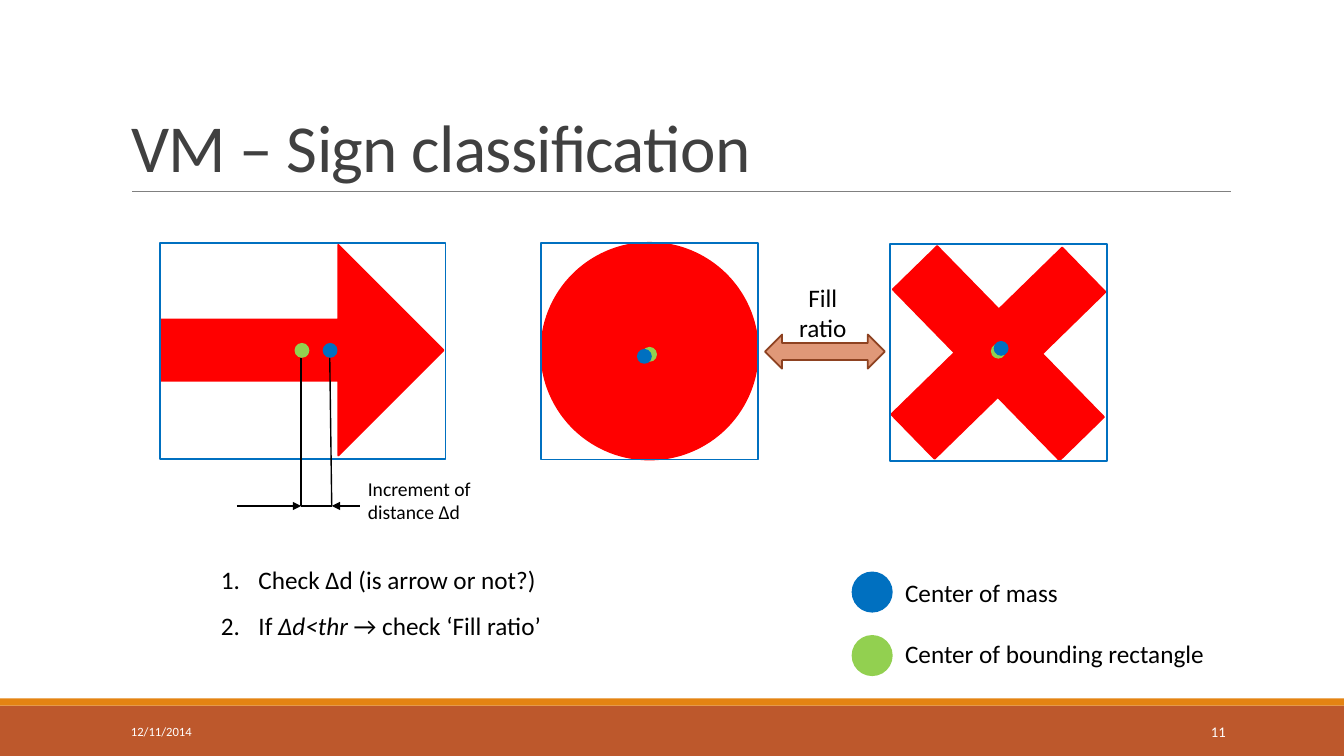
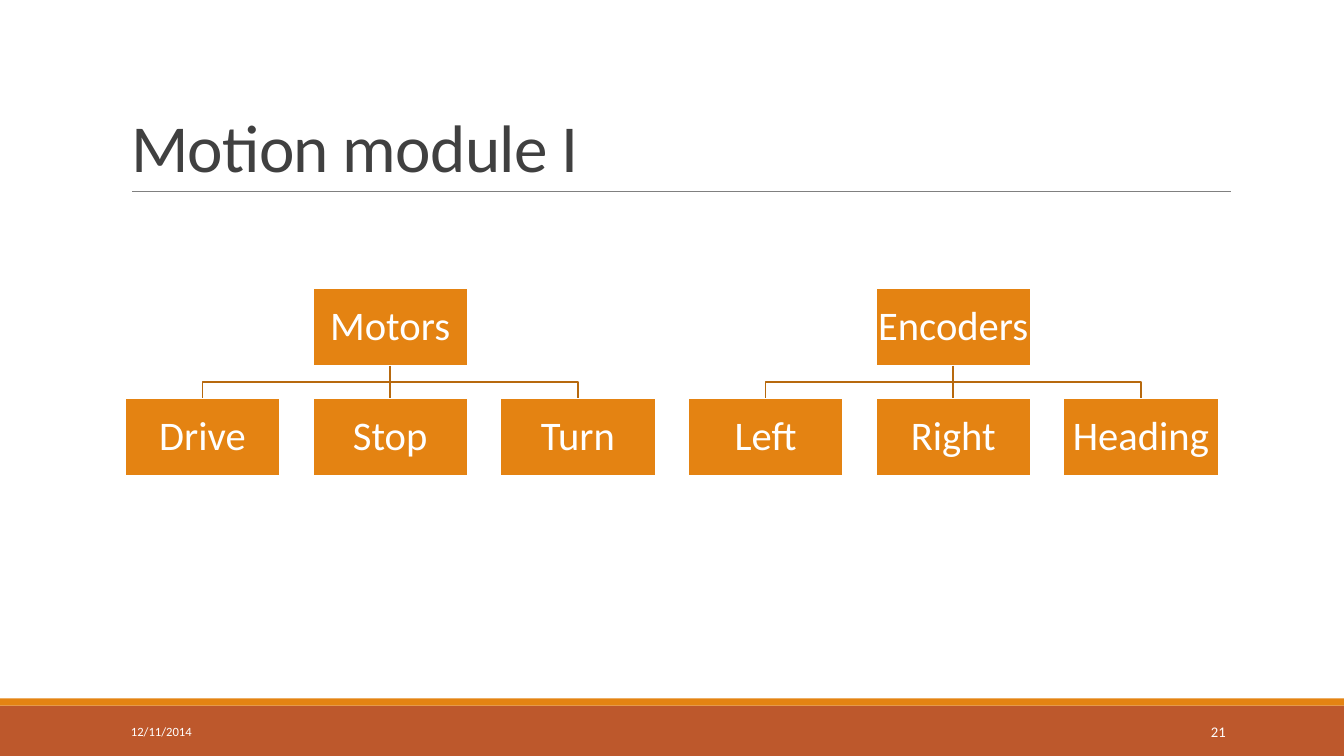
from lxml.etree import SubElement
from pptx import Presentation
from pptx.dml.color import RGBColor
from pptx.enum.shapes import MSO_CONNECTOR, MSO_SHAPE
from pptx.enum.text import MSO_ANCHOR, MSO_AUTO_SIZE, PP_ALIGN
from pptx.oxml.ns import qn
from pptx.util import Cm, Pt

RUST, ORANGE, BROWN = "BD582C", "E48312", "B7690E"
RED, BLUE, GREEN = "FF0000", "0070C0", "92D050"
BLACK, WHITE, DARK, GREY = "000000", "FFFFFF", "404040", "808080"
FACE = "Calibri"
WIDE, HIGH = 33.87, 19.05


def ink(color, value):
    color.rgb = RGBColor.from_string(value)


class Deck:
    def __init__(self):
        self.file = Presentation()
        self.file.slide_width, self.file.slide_height = Cm(WIDE), Cm(HIGH)
        self.slide = None

    # Slide frame: bands, rule, title and footer
    def start(self, title, number, layout):
        self.slide = self.file.slides.add_slide(self.file.slide_layouts[layout])
        self.shape(MSO_SHAPE.RECTANGLE, 0, 17.78, WIDE, 1.27, RUST)
        self.shape(MSO_SHAPE.RECTANGLE, 0, 17.6, WIDE, 0.18, ORANGE)
        self.line(3.33, 4.83, 31.01, 4.83, GREY, 0.5)
        head = self.slide.shapes.title
        self.place(head, 3.05, 0.79, 27.94, 4.04)
        frame = head.text_frame
        frame.text = title
        frame.auto_size = MSO_AUTO_SIZE.NONE
        frame.vertical_anchor = MSO_ANCHOR.BOTTOM
        self.style(frame, 48, DARK, PP_ALIGN.LEFT)
        frame.paragraphs[0].line_spacing = 0.85
        frame.paragraphs[0].runs[0].font._element.set("spc", "-50")
        self.text("12/11/2014", 3.05, 17.93, 6.86, 1.02, 9, WHITE,
                  anchor=MSO_ANCHOR.MIDDLE)
        self.text(number, 27.51, 17.93, 3.63, 1.02, 10.5, WHITE,
                  PP_ALIGN.RIGHT, MSO_ANCHOR.MIDDLE)

    def place(self, item, x, y, w, h):
        item.left, item.top, item.width, item.height = Cm(x), Cm(y), Cm(w), Cm(h)

    def style(self, frame, size, color, align=PP_ALIGN.LEFT):
        for para in frame.paragraphs:
            para.alignment = align
            for run in para.runs:
                run.font.name, run.font.size = FACE, Pt(size)
                ink(run.font.color, color)

    def paint(self, item, fill=None, edge=None, width=1.25):
        item.shadow.inherit = False
        if fill:
            item.fill.solid()
            ink(item.fill.fore_color, fill)
        else:
            item.fill.background()
        if edge:
            ink(item.line.color, edge)
            item.line.width = Pt(width)
        else:
            item.line.fill.background()

    def shape(self, kind, x, y, w, h, fill=None, edge=None):
        item = self.slide.shapes.add_shape(kind, Cm(x), Cm(y), Cm(w), Cm(h))
        self.paint(item, fill, edge)
        return item

    def dot(self, x, y, color, size=0.33):
        self.shape(MSO_SHAPE.OVAL, x - size / 2, y - size / 2, size, size,
                   color, color)

    def line(self, x1, y1, x2, y2, color=BLACK, width=1, arrow=False):
        item = self.slide.shapes.add_connector(
            MSO_CONNECTOR.STRAIGHT, Cm(x1), Cm(y1), Cm(x2), Cm(y2))
        ink(item.line.color, color)
        item.line.width = Pt(width)
        if arrow:
            SubElement(item.line._get_or_add_ln(), qn("a:tailEnd"), type="triangle")
        SubElement(item._element.spPr, qn("a:effectLst"))
        return item

    def elbow(self, x1, y1, x2, y2):
        mid = (y1 + y2) / 2
        points = [(x1, mid), (x2, mid), (x2, y2)]
        build = self.slide.shapes.build_freeform(Cm(x1), Cm(y1))
        build.add_line_segments([(Cm(x), Cm(y)) for x, y in points], close=False)
        self.paint(build.convert_to_shape(), edge=BROWN)

    def text(self, words, x, y, w, h, size, color=BLACK,
             align=PP_ALIGN.LEFT, anchor=MSO_ANCHOR.TOP, gap=0):
        item = self.slide.shapes.add_textbox(Cm(x), Cm(y), Cm(w), Cm(h))
        frame = item.text_frame
        frame.word_wrap = True
        frame.vertical_anchor = anchor
        frame.text = words
        self.style(frame, size, color, align)
        for para in frame.paragraphs[1:]:
            para.space_before = Pt(gap)

    # Numbered list in the body placeholder; every second part is italic
    def steps(self, items, x, y, w, h):
        body = self.slide.placeholders[1]
        self.place(body, x, y, w, h)
        frame = body.text_frame
        frame.auto_size = MSO_AUTO_SIZE.NONE
        for i, parts in enumerate(items):
            para = frame.add_paragraph() if i else frame.paragraphs[0]
            props = para._p.get_or_add_pPr()
            props.set("marL", str(Cm(0.95)))
            props.set("indent", str(Cm(-0.95)))
            SubElement(props, qn("a:buFont"), typeface=FACE)
            SubElement(props, qn("a:buAutoNum"), type="arabicPeriod")
            para.line_spacing, para.space_before = 1.5, Pt(0)
            for j, part in enumerate(parts):
                run = para.add_run()
                run.text = part
                run.font.italic = j % 2 == 1
        self.style(frame, 18, BLACK)

    # Sign with its bounding rectangle and both centres
    def sign(self, kind, area, box, mid, mass, turn=0, adjust=()):
        item = self.shape(kind, *area, RED, RED)
        item.rotation = turn
        for i, value in enumerate(adjust):
            item.adjustments[i] = value
        self.shape(MSO_SHAPE.RECTANGLE, *box, edge=BLUE)
        self.dot(*mid, GREEN)
        self.dot(*mass, BLUE)

    def node(self, words, x, y, w, h):
        item = self.shape(MSO_SHAPE.RECTANGLE, x, y, w, h, ORANGE, WHITE)
        frame = item.text_frame
        frame.margin_left = frame.margin_right = Cm(0.05)
        frame.margin_top = frame.margin_bottom = Cm(0.05)
        frame.word_wrap = False
        frame.vertical_anchor = MSO_ANCHOR.MIDDLE
        frame.text = words
        self.style(frame, 29, WHITE, PP_ALIGN.CENTER)
        frame.paragraphs[0].line_spacing = 0.9
        return item

    # Parent node over a row of three children
    def tree(self, root, kids, x):
        w, h, pitch, top, low = 3.91, 1.96, 4.73, 7.26, 10.03
        mid = x + pitch + w / 2
        boss = self.node(root, x + pitch, top, w, h)
        for i, kid in enumerate(kids):
            left = x + i * pitch
            child = self.node(kid, left, low, w, h)
            if i == 1:
                stem = self.line(mid, top + h, mid, low, BROWN, 1.25)
                stem.begin_connect(boss, 2)
                stem.end_connect(child, 0)
            else:
                self.elbow(mid, top + h, left + w / 2, low)


def signs(deck):
    deck.start("VM – Sign classification", "11", 1)
    # Three signs
    disc = (13.64, 6.12, 5.46, 5.46)
    deck.sign(MSO_SHAPE.OVAL, disc, disc, (16.37, 8.93), (16.24, 8.98))
    deck.sign(MSO_SHAPE.CROSS, (22.15, 5.89, 6.02, 6.02),
              (22.43, 6.15, 5.46, 5.46), (25.16, 8.85), (25.23, 8.78),
              315.7, [0.37])
    deck.sign(MSO_SHAPE.RIGHT_ARROW, (4.04, 6.17, 7.14, 5.31),
              (4.04, 6.12, 7.19, 5.44), (7.61, 8.83), (8.32, 8.83),
              adjust=[0.29, 0.5])
    # Distance between the centres
    base = 12.75
    deck.line(7.59, 9.02, 7.59, base)
    deck.line(8.31, 9.02, 8.36, base)
    deck.line(5.97, base, 7.59, base, arrow=True)
    deck.line(9.07, base, 8.36, base, arrow=True)
    deck.line(8.36, base, 7.59, base)
    deck.text("Increment of\ndistance Δd", 9.02, 11.89, 5.99, 1.45, 14)
    # Fill ratio
    deck.shape(MSO_SHAPE.LEFT_RIGHT_ARROW, 19.28, 8.43, 3.02, 0.86,
               "E09878", "8E4221")
    deck.text("Fill ratio", 19.81, 6.99, 1.85, 1.8, 18, align=PP_ALIGN.CENTER)
    # Steps and legend
    deck.steps([["Check Δd (is arrow or not?)"],
                ["If ", "Δd<thr ", "→ check ‘Fill ratio’"]],
               5.31, 13.72, 9.65, 2.57)
    deck.dot(21.98, 14.92, BLUE, 0.99)
    deck.dot(21.98, 16.52, GREEN, 0.99)
    deck.text("Center of mass\nCenter of bounding rectangle",
              22.56, 14.43, 8.81, 2.57, 18, gap=22)


def motion(deck):
    deck.start("Motion module I", "21", 5)
    deck.tree("Motors", ["Drive", "Stop", "Turn"], 3.15)
    deck.tree("Encoders", ["Left", "Right", "Heading"], 17.34)


def main():
    deck = Deck()
    signs(deck)
    motion(deck)
    deck.file.save("out.pptx")


if __name__ == "__main__":
    main()
